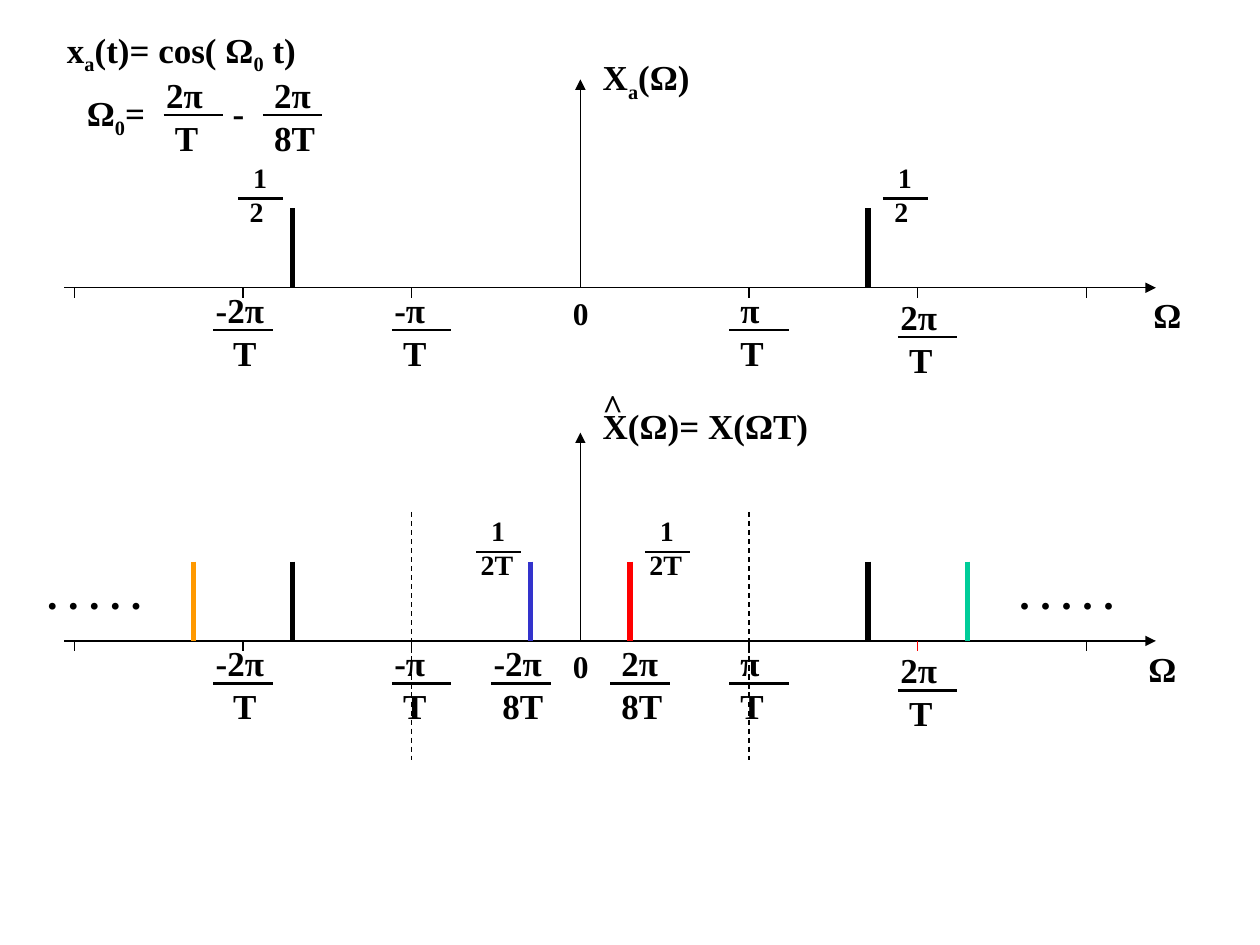
from dataclasses import dataclass

from lxml import etree
from pptx import Presentation
from pptx import util as u
from pptx.dml.color import RGBColor
from pptx.enum import dml, shapes, text
from pptx.oxml.ns import qn


@dataclass(frozen=True)
class Theme:
    font: str = "Times New Roman"
    black: str = "000000"
    red: str = "FF0000"
    blue: str = "3333CC"
    green: str = "00CC99"
    gold: str = "FF9900"
    small: int = 16
    zero: int = 18
    body: int = 20
    dots: int = 24
    thin: float = 0.75
    bar: float = 1.25
    thick: float = 3


class Sketch:
    """Draws on a square grid that is 127 columns wide."""

    def __init__(self, deck, theme):
        self.theme = theme
        self.slide = deck.slides.add_slide(deck.slide_layouts[6])
        self.unit = deck.slide_width / 127

    def grid(self, *cells):
        return [u.Emu(round(cell * self.unit)) for cell in cells]

    def line(self, x1, y1, x2, y2, width, color=None, arrow=False,
             dash=False, home=None):
        home = home or self.slide.shapes
        link = home.add_connector(shapes.MSO_CONNECTOR.STRAIGHT,
                                  *self.grid(x1, y1, x2, y2))
        link.line.width = u.Pt(width)
        link.line.color.rgb = RGBColor.from_string(color or self.theme.black)
        if dash:
            link.line.dash_style = dml.MSO_LINE.DASH
        props = link._element.spPr
        if arrow:
            end = etree.SubElement(props.find(qn("a:ln")), qn("a:tailEnd"))
            end.set("type", "triangle")
        etree.SubElement(props, qn("a:effectLst"))

    def box(self, x, y, w, h, home=None):
        home = home or self.slide.shapes
        frame = home.add_textbox(*self.grid(x, y, w, h)).text_frame
        frame.word_wrap = True
        frame.auto_size = text.MSO_AUTO_SIZE.SHAPE_TO_FIT_TEXT
        return frame

    def run(self, para, words, size, sub=False):
        run = para.add_run()
        run.text = words
        font = run.font
        font.name, font.size, font.bold = self.theme.font, u.Pt(size), True
        font.color.rgb = RGBColor.from_string(self.theme.black)
        if sub:
            run._r.get_or_add_rPr().set("baseline", "-25000")

    def label(self, x, y, w, *parts, size=None, tab=None):
        """Every second part is a subscript."""
        size = size or self.theme.body
        para = self.box(x, y, w, size * 0.28).paragraphs[0]
        if tab:
            stops = etree.SubElement(para._p.get_or_add_pPr(), qn("a:tabLst"))
            etree.SubElement(stops, qn("a:tab"), pos=str(self.grid(tab)[0]),
                             algn="l")
        for i, part in enumerate(parts):
            self.run(para, part, size, sub=i % 2 == 1)

    def ratio(self, x, y, top, low, pads=(0, 5), small=False):
        """A fraction; pads are the indents of its two rows in points."""
        size = self.theme.small if small else self.theme.body
        home = self.slide.shapes.add_group_shape().shapes
        frame = self.box(x, y, 12, 6.9 if small else 7.75, home)
        for i, (words, pad) in enumerate(zip((top, low), pads)):
            para = frame.add_paragraph() if i else frame.paragraphs[0]
            para._p.get_or_add_pPr().set("marL", str(u.Pt(pad)))
            para.line_spacing = 0.5
            if i:
                para.space_before = u.Pt(size * 0.625)
            self.run(para, words, size)
        start, span = (1.5, 4.5) if small else (1, 6)
        self.line(x + start, y + 3, x + start + span, y + 3,
                  self.theme.bar, home=home)

    def half(self, x, base, low, pad):
        self.ratio(x, base - 12, "1", low, (10, pad), small=True)

    def pulse(self, x, base, color=None):
        self.line(x, base - 8, x, base, self.theme.thick, color)

    def axes(self, base, end, marks=None):
        """Axes, ticks and the labels that both plots share."""
        thin = self.theme.thin
        self.line(6.5, base, 116.5, base, thin, arrow=True)
        self.line(MID, base, MID, base - 21, thin, arrow=True)
        for k in (-3, -2, -1, 1, 2, 3):
            x = MID + k * STEP
            self.line(x, base, x, base + 1, thin, (marks or {}).get(k))
        self.label(56.5, base, 10, "0", size=self.theme.zero)
        self.label(end, base, 12, "Ω")
        self.ratio(20.5, base + 1.3, "-2π", "T", (0, 10))
        self.ratio(38.5, base + 1.3, "-π", "T")
        self.ratio(72.5, base + 1.3, "π", "T", (5, 5))
        self.ratio(89.5, base + 2, "2π", "T")


MID, STEP, SHIFT = 58.5, 17, 5
UPPER, LOWER = 29, 64.6


def main():
    deck = Presentation()
    deck.slide_width, deck.slide_height = u.Inches(10), u.Inches(7.5)
    theme = Theme()
    art = Sketch(deck, theme)
    far = 2 * STEP

    # Signal and its frequency
    art.label(5.5, 2.2, 39, "x", "a", "(t)= cos( Ω", "0", " t)")
    art.label(7.5, 8.6, 30, "Ω", "0", "=\t-", tab=14.7)
    art.ratio(15.5, 8.6, "2π", "T")
    art.ratio(25.5, 8.6, "2π", "8T", (5, 5))

    # Analog spectrum
    art.axes(UPPER, 115)
    art.label(59.5, UPPER - 24, 12, "X", "a", "(Ω)")
    for side, x in ((-1, 22.5), (1, 87.5)):
        art.pulse(MID + side * (far - SHIFT), UPPER)
        art.half(x, UPPER, "2", 8)

    # Sampled spectrum
    art.axes(LOWER, 114.5, {2: theme.red})
    art.label(59.5, LOWER - 24.5, 31, "X(Ω)= X(ΩT)")
    art.label(59.5, LOWER - 26.5, 12, "^")
    for side, near, wide, x, dots in (
            (-1, theme.blue, theme.gold, 46.5, 3.5),
            (1, theme.red, theme.green, 63.5, 101.5)):
        art.pulse(MID + side * SHIFT, LOWER, near)
        art.pulse(MID + side * (far - SHIFT), LOWER)
        art.pulse(MID + side * (far + SHIFT), LOWER, wide)
        edge = MID + side * STEP
        art.line(edge, LOWER - 13, edge, LOWER + 12, theme.thin, dash=True)
        art.half(x, LOWER, "2T", 4)
        art.label(dots, LOWER - 8, 15, ". . . . .", size=theme.dots)
    art.ratio(60.5, LOWER + 1.3, "2π", "8T", (5, 5))
    art.ratio(48.5, LOWER + 1.3, "-2π", "8T")

    deck.save("out.pptx")


if __name__ == "__main__":
    main()
